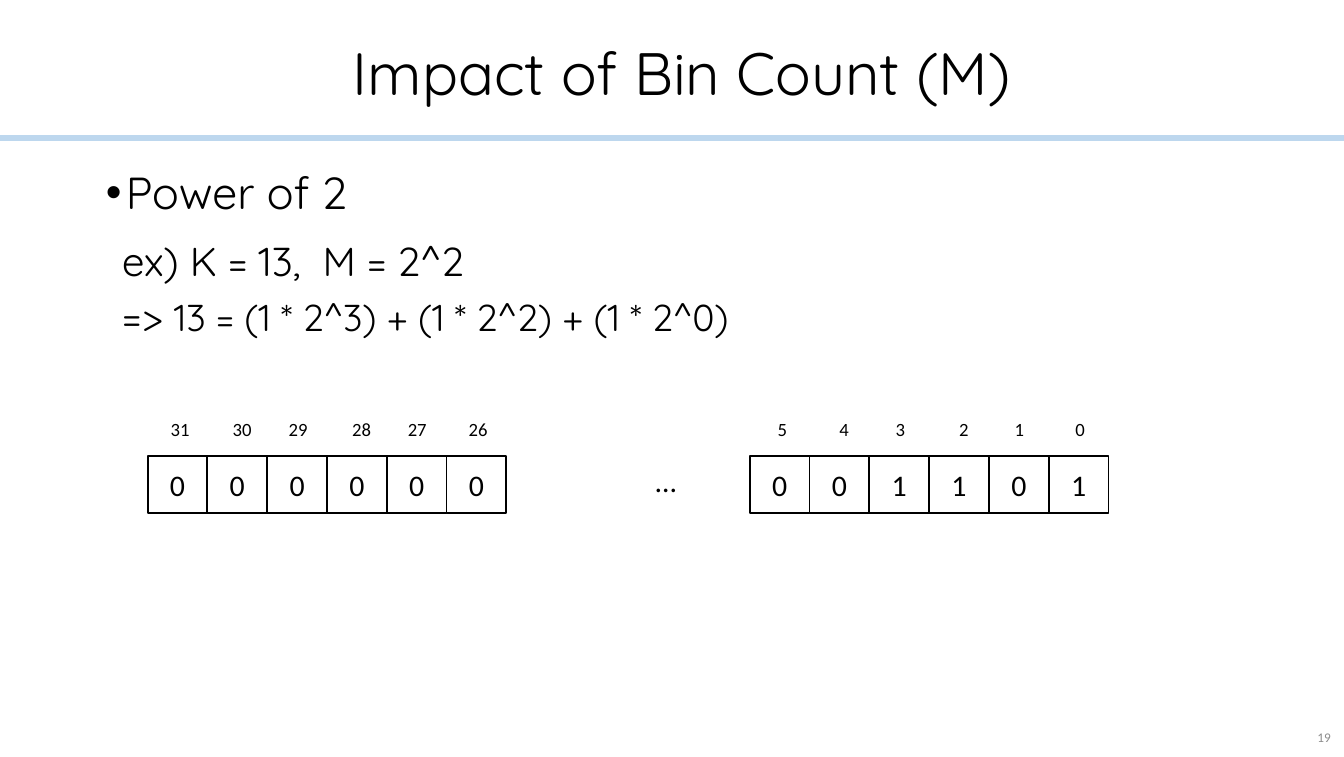
from dataclasses import dataclass

import pptx
import pptx.dml.color
import pptx.enum.shapes
import pptx.enum.text
import pptx.oxml.ns
import pptx.util
from lxml import etree

Cm, Pt = pptx.util.Cm, pptx.util.Pt
ALIGN = pptx.enum.text.PP_ALIGN
ANCHOR = pptx.enum.text.MSO_ANCHOR
RECT = pptx.enum.shapes.MSO_SHAPE.RECTANGLE

COLORS = {"ink": "000000", "rule": "BDD7EE", "page": "8C8C8C"}
HEAD, BODY = "Quicksand", "Calibri"

CELL_W, CELL_H, CELL_TOP = 1.13, 1.09, 8.61
LABEL_W, LABEL_H, LABEL_TOP = 0.89, 0.69, 7.77
LABEL_X = (0.17, 1.34, 2.4, 3.6, 4.65, 5.8)  # from the left edge of a bank


@dataclass
class Box:
    left: float
    top: float
    width: float
    height: float

    def place(self) -> tuple:
        return Cm(self.left), Cm(self.top), Cm(self.width), Cm(self.height)


@dataclass
class Bank:
    left: float
    high: int  # number of the leftmost bit
    bits: str


BANKS = (Bank(2.79, 31, "000000"), Bank(14.17, 5, "001101"))


def color(name: str) -> pptx.dml.color.RGBColor:
    return pptx.dml.color.RGBColor.from_string(COLORS[name])


def add_run(para, text: str, size: float, face: str, ink: str = "ink") -> None:
    run = para.add_run()
    run.text = text
    run.font.size = Pt(size)
    run.font.name = face
    run.font.color.rgb = color(ink)


def add_text(slide, box: Box, wrap: bool = True):
    frame = slide.shapes.add_textbox(*box.place()).text_frame
    frame.word_wrap = wrap
    return frame


def add_rect(slide, box: Box, line: str, fill: str = ""):
    shape = slide.shapes.add_shape(RECT, *box.place())
    shape.shadow.inherit = False
    if fill:
        shape.fill.solid()
        shape.fill.fore_color.rgb = color(fill)
    else:
        shape.fill.background()
    shape.line.color.rgb = color(line)
    shape.line.width = Pt(1)
    return shape


def add_bullet(para, indent: float) -> None:
    props = para._p.get_or_add_pPr()
    props.set("marL", str(Cm(indent)))
    props.set("indent", str(-Cm(indent)))
    etree.SubElement(props, pptx.oxml.ns.qn("a:buFont")).set("typeface", "Arial")
    etree.SubElement(props, pptx.oxml.ns.qn("a:buChar")).set("char", "•")


def draw_bank(slide, bank: Bank) -> None:
    for i, bit in enumerate(bank.bits):
        cell = add_rect(slide, Box(bank.left + i * CELL_W, CELL_TOP, CELL_W, CELL_H), "ink")
        cell.text_frame.vertical_anchor = ANCHOR.MIDDLE
        para = cell.text_frame.paragraphs[0]
        para.alignment = ALIGN.CENTER
        add_run(para, bit, 16, BODY)

        frame = add_text(slide, Box(bank.left + LABEL_X[i], LABEL_TOP, LABEL_W, LABEL_H))
        frame.margin_left = frame.margin_right = 0
        para = frame.paragraphs[0]
        para.alignment = ALIGN.CENTER
        add_run(para, str(bank.high - i), 10, BODY)


def main() -> None:
    deck = pptx.Presentation()
    deck.slide_width, deck.slide_height = Cm(25.4), Cm(14.3)
    slide = deck.slides.add_slide(deck.slide_layouts[5])

    # Title and the rule below it
    add_rect(slide, Box(0, 2.57, 25.4, 0.08), "rule", "rule")
    title = slide.shapes.title
    title.left, title.top, title.width, title.height = Box(0.38, 0.71, 25.02, 1.52).place()
    frame = title.text_frame
    frame.auto_size = pptx.enum.text.MSO_AUTO_SIZE.NONE
    frame.vertical_anchor = ANCHOR.TOP
    para = frame.paragraphs[0]
    para.alignment = ALIGN.CENTER
    para.line_spacing = 0.9
    add_run(para, "Impact of Bin Count (M)", 32, HEAD)

    # Bullet
    para = add_text(slide, Box(1.75, 3.1, 22.48, 10.03)).paragraphs[0]
    para.line_spacing = 0.9
    add_bullet(para, 0.38)
    add_run(para, "Power of 2", 24, HEAD)

    # Worked example
    frame = add_text(slide, Box(2.06, 4.45, 20.73, 2.01))
    first, second = frame.paragraphs[0], frame.add_paragraph()
    first.line_spacing = second.line_spacing = 0.9
    second.space_before = Pt(5.9)
    add_run(first, "ex) K = 13,  M = 2^2", 21.6, HEAD)
    add_run(second, "=> ", 21.6, HEAD)
    add_run(second, "13 = (1 * 2^3) + (1 * 2^2) + (1 * 2^0)", 20, HEAD)

    # Bits with their numbers, and the gap between the banks
    for bank in BANKS:
        draw_bank(slide, bank)
    frame = add_text(slide, Box(12.14, CELL_TOP, CELL_W, 0.94))
    add_run(frame.paragraphs[0], "…", 16, BODY)

    # Page number
    frame = add_text(slide, Box(24.54, 13.54, 0.86, 0.76))
    frame.vertical_anchor = ANCHOR.MIDDLE
    para = frame.paragraphs[0]
    para.alignment = ALIGN.RIGHT
    add_run(para, "19", 7.1, BODY, "page")

    deck.save("out.pptx")


if __name__ == "__main__":
    main()
